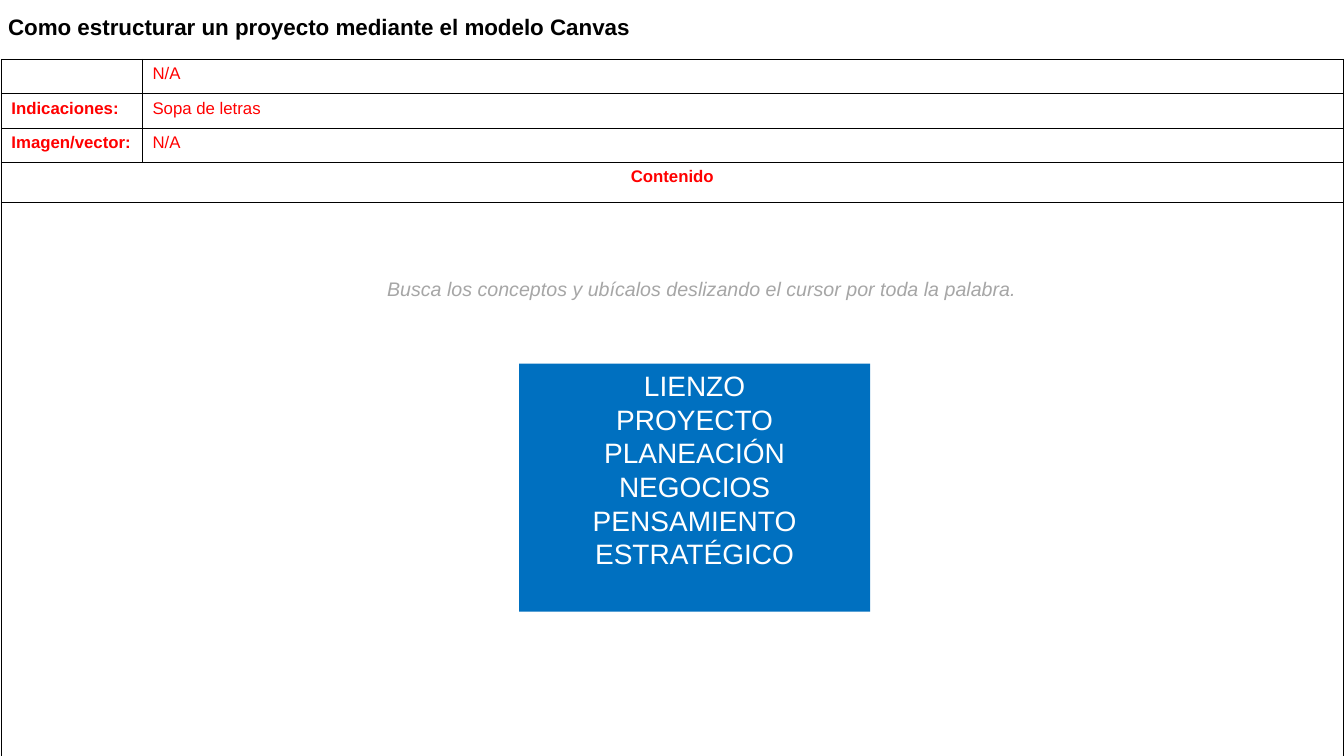
from dataclasses import dataclass

from lxml.etree import SubElement
from pptx import Presentation
from pptx.dml.color import RGBColor
from pptx.enum.text import MSO_ANCHOR, MSO_AUTO_SIZE, PP_ALIGN
from pptx.oxml.ns import qn
from pptx.util import Emu, Inches, Pt

WIDTH, HEIGHT = Inches(13.33), Inches(7.5)
BLACK, WHITE, RED, BLUE, GREY = "000000", "FFFFFF", "FF0000", "0070C0", "A6A6A6"
LABEL = {"size": Pt(12), "bold": True}
VALUE = {"size": Pt(12), "bold": False}


@dataclass(frozen=True)
class Box:
    """Place and size as percentages of the slide's width and height."""
    left: float
    top: float
    width: float
    height: float

    def lengths(self) -> tuple:
        """Return the box as lengths on the slide."""
        return (across(self.left), down(self.top),
                across(self.width), down(self.height))


@dataclass(frozen=True)
class Block:
    """A box of equally formatted lines."""
    box: Box
    lines: tuple
    color: str
    fmt: dict
    align: PP_ALIGN = PP_ALIGN.CENTER
    wrap: bool = False


@dataclass(frozen=True)
class Row:
    """A table row; a row without a value spans both columns."""
    height: float
    label: str = ""
    value: str = ""


TITLE = Block(Box(-0.15, 1.1, 48.31, 4.93),
              ("Como estructurar un proyecto mediante el modelo Canvas",),
              BLACK, {"size": Pt(16), "bold": True}, PP_ALIGN.LEFT)
HINT = Block(Box(27.95, 36, 48.54, 4.53),
             ("Busca los conceptos y ubícalos deslizando el cursor por toda la palabra.",),
             GREY, {"size": Pt(14), "italic": True})
CONCEPTS = Block(Box(38.63, 48.1, 26.11, 32.8),
                 ("LIENZO", "PROYECTO", "PLANEACIÓN", "NEGOCIOS", "PENSAMIENTO", "ESTRATÉGICO"),
                 WHITE, {"size": Pt(20)}, wrap=True)
TABLE = Box(0.1, 7.87, 99.85, 100)
COLUMNS = (10.5, 89.35)
ROWS = (Row(4.55, value="N/A"),
        Row(4.55, "Indicaciones:", "Sopa de letras"),
        Row(4.55, "Imagen/vector:", "N/A"),
        Row(5.25, "Contenido"),
        Row(81.1))


def across(share: float) -> Emu:
    """Turn a percentage of the slide's width into a length."""
    return Emu(round(WIDTH * share / 100))


def down(share: float) -> Emu:
    """Turn a percentage of the slide's height into a length."""
    return Emu(round(HEIGHT * share / 100))


def paint(target, color: str) -> None:
    """Give a fill a solid colour."""
    target.solid()
    target.fore_color.rgb = RGBColor.from_string(color)


def write(p, text: str, color: str, fmt: dict, align: PP_ALIGN) -> None:
    """Write one formatted line into a paragraph."""
    p.alignment = align
    if not text:
        SubElement(p._p, qn("a:endParaRPr"), sz=str(int(fmt["size"].pt * 100)))
        return
    r = p.add_run()
    r.text = text
    for name, value in {"name": "Arial", **fmt}.items():
        setattr(r.font, name, value)
    paint(r.font.fill, color)


def fill_block(sp, block: Block) -> None:
    """Place a shape and write the lines of its block."""
    sp.left, sp.top, sp.width, sp.height = block.box.lengths()
    tf = sp.text_frame
    for name, value in {"word_wrap": block.wrap, "auto_size": MSO_AUTO_SIZE.NONE,
                        "vertical_anchor": MSO_ANCHOR.TOP}.items():
        setattr(tf, name, value)
    for i, line in enumerate(block.lines):
        p = tf.add_paragraph() if i else tf.paragraphs[0]
        pPr = p._p.get_or_add_pPr()
        for name in ("marL", "indent"):
            pPr.set(name, "0")
        SubElement(pPr, qn("a:buNone"))
        p.space_before = Pt(0)
        write(p, line, block.color, block.fmt, block.align)


def format_cell(cell) -> None:
    """Give a cell black one-point borders and a white fill."""
    tcPr = cell._tc.get_or_add_tcPr()
    for side in ("lnL", "lnR", "lnT", "lnB"):
        ln = SubElement(tcPr, qn(f"a:{side}"), w=str(Pt(1)))
        SubElement(SubElement(ln, qn("a:solidFill")), qn("a:srgbClr"), val=BLACK)
    paint(cell.fill, WHITE)


def add_sheet(s) -> None:
    """Add the table with the activity's data."""
    table = s.shapes.add_table(len(ROWS), len(COLUMNS), *TABLE.lengths()).table
    table.first_row = table.horz_banding = False
    for column, share in zip(table.columns, COLUMNS):
        column.width = across(share)
    for i, row in enumerate(ROWS):
        table.rows[i].height = down(row.height)
        align = PP_ALIGN.LEFT if row.value else PP_ALIGN.CENTER
        for j, (text, fmt) in enumerate(((row.label, LABEL), (row.value, VALUE))):
            cell = table.cell(i, j)
            format_cell(cell)
            write(cell.text_frame.paragraphs[0], text, RED, fmt, align)
        if not row.value:
            table.cell(i, 0).merge(table.cell(i, 1))


def main() -> None:
    """Build the slide and save it."""
    prs = Presentation()
    prs.slide_width, prs.slide_height = WIDTH, HEIGHT
    s = prs.slides.add_slide(prs.slide_layouts[1])
    title, body = s.placeholders
    add_sheet(s)
    s.shapes._spTree.extend([body._element, title._element])
    fill_block(body, CONCEPTS)
    paint(body.fill, BLUE)
    fill_block(title, TITLE)
    fill_block(s.shapes.add_textbox(*HINT.box.lengths()), HINT)
    prs.save("out.pptx")


if __name__ == "__main__":
    main()
